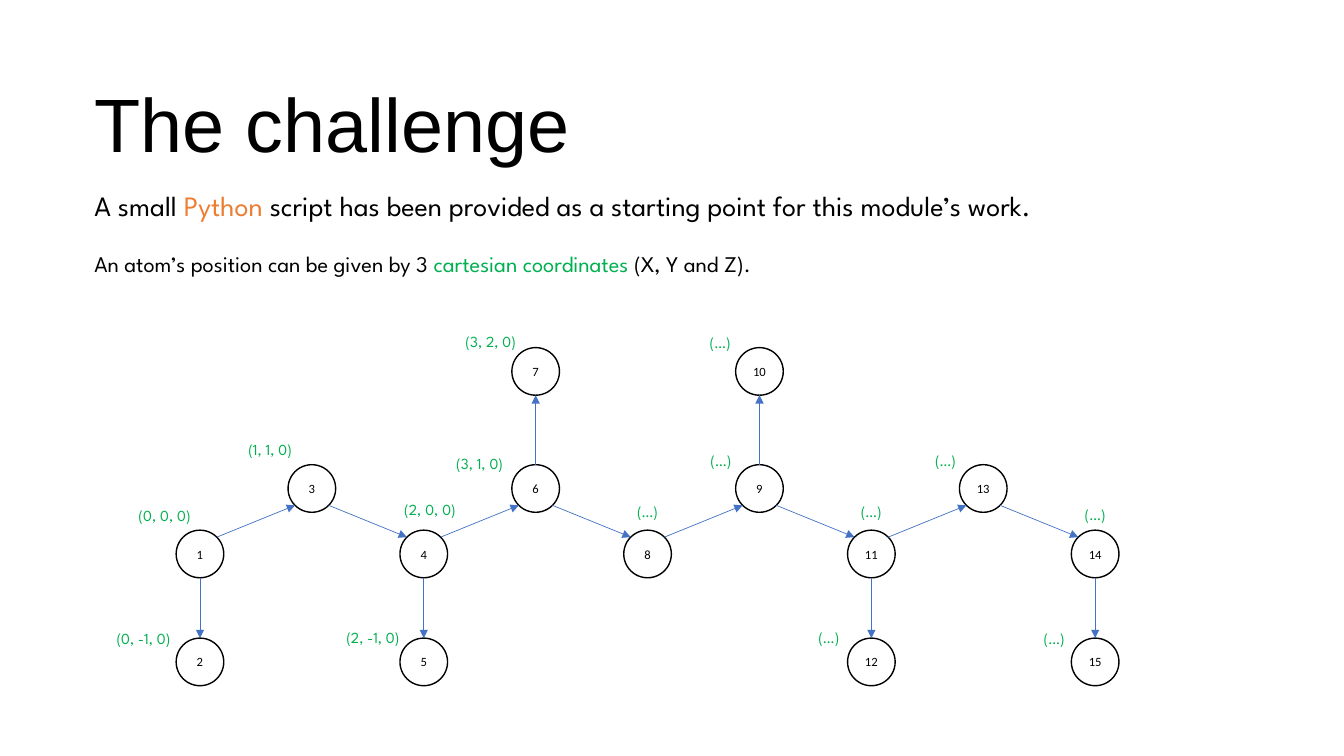
from math import cos, pi

from lxml.etree import SubElement
from pptx import Presentation
from pptx.dml.color import RGBColor
from pptx.enum.shapes import MSO_CONNECTOR as Connector, MSO_SHAPE as Shape
from pptx.enum.text import MSO_ANCHOR as Anchor, MSO_AUTO_SIZE as AutoSize, PP_ALIGN as Align
from pptx.oxml.ns import qn
from pptx.util import Cm, Pt

BLACK = RGBColor(0x00, 0x00, 0x00)
WHITE = RGBColor(0xFF, 0xFF, 0xFF)
ORANGE = RGBColor(0xED, 0x7D, 0x31)
GREEN = RGBColor(0x00, 0xB0, 0x50)
BLUE = RGBColor(0x44, 0x72, 0xC4)

TITLE_FONT, TEXT_FONT, ATOM_FONT = "Arial", "League Spartan", "Calibri"
TEXT_LEFT = 2.13
RADIUS = 0.6
FIRST_COLUMN, COLUMN_STEP = 5.04, 2.82
ROWS = [9.36, 12.31, 13.96, 16.68]

# atom: (column, row, coordinates, label offset across, label offset down)
ATOMS = {
    1: (0, 2, "(0, 0, 0)", -0.89, -0.97),
    2: (0, 3, "(0, -1, 0)", -1.42, -0.58),
    3: (1, 1, "(1, 1, 0)", -1.05, -0.97),
    4: (2, 2, "(2, 0, 0)", 0.16, -1.12),
    5: (2, 3, "(2, -1, 0)", -1.28, -0.61),
    6: (3, 1, "(3, 1, 0)", -1.41, -0.61),
    7: (3, 0, "(3, 2, 0)", -1.13, -0.74),
    8: (4, 2, "(…)", 0, -1.07),
    9: (5, 1, "(…)", -0.97, -0.69),
    10: (5, 0, "(…)", -0.99, -0.71),
    11: (6, 2, "(…)", 0, -1.07),
    12: (6, 3, "(…)", -1.07, -0.61),
    13: (7, 1, "(…)", -0.95, -0.69),
    14: (8, 2, "(…)", 0, -0.99),
    15: (8, 3, "(…)", -1.03, -0.58),
}
BACKBONE = [1, 3, 4, 6, 8, 9, 11, 13, 14]
BRANCHES = [(1, 2), (4, 5), (6, 7), (9, 10), (11, 12), (14, 15)]


def atom_center(number):
    column, row = ATOMS[number][:2]
    return FIRST_COLUMN + column * COLUMN_STEP, ROWS[row]


def direction(start, end):
    return (end > start) - (end < start)


class ChainSlide:
    def __init__(self, presentation):
        self.slide = presentation.slides.add_slide(presentation.slide_layouts[5])
        self.molecule = None

    def add_runs(self, shape, runs, font, size, align=Align.LEFT):
        """Fill the first paragraph with (text, colour) runs."""
        paragraph = shape.text_frame.paragraphs[0]
        paragraph.alignment = align
        for text, color in runs:
            run = paragraph.add_run()
            run.text = text
            run.font.name = font
            run.font.size = Pt(size)
            run.font.color.rgb = color

    def title(self, text):
        title = self.slide.shapes.title
        title.left, title.top = Cm(TEXT_LEFT), Cm(1.78)
        title.width, title.height = Cm(18.47), Cm(2.57)
        title.text_frame.vertical_anchor = Anchor.BOTTOM
        title.text_frame.auto_size = AutoSize.NONE
        self.add_runs(title, [(text, BLACK)], TITLE_FONT, 54)

    def text(self, left, top, width, height, runs, size, align=Align.LEFT):
        box = self.slide.shapes.add_textbox(Cm(left), Cm(top), Cm(width), Cm(height))
        box.text_frame.word_wrap = True
        box.text_frame.auto_size = AutoSize.SHAPE_TO_FIT_TEXT
        self.add_runs(box, runs, TEXT_FONT, size, align)

    def start_molecule(self):
        self.molecule = self.slide.shapes.add_group_shape()

    def atom(self, number):
        x, y = atom_center(number)
        circle = self.molecule.shapes.add_shape(
            Shape.OVAL, Cm(x - RADIUS), Cm(y - RADIUS), Cm(2 * RADIUS), Cm(2 * RADIUS))
        circle.shadow.inherit = False
        circle.fill.solid()
        circle.fill.fore_color.rgb = WHITE
        circle.line.color.rgb = BLACK
        circle.line.width = Pt(1)
        frame = circle.text_frame
        frame.margin_left = frame.margin_right = frame.margin_top = frame.margin_bottom = 0
        frame.vertical_anchor = Anchor.MIDDLE
        self.add_runs(circle, [(str(number), BLACK)], ATOM_FONT, 9, Align.CENTER)

    def bond(self, first, second):
        """Draw an arrow between the facing edges of two atoms."""
        (x1, y1), (x2, y2) = atom_center(first), atom_center(second)
        reach = RADIUS * cos(pi / 4) if x1 != x2 else RADIUS
        dx, dy = reach * direction(x1, x2), reach * direction(y1, y2)
        arrow = self.molecule.shapes.add_connector(
            Connector.STRAIGHT, Cm(x1 + dx), Cm(y1 + dy), Cm(x2 - dx), Cm(y2 - dy))
        arrow.line.color.rgb = BLUE
        arrow.line.width = Pt(0.5)
        properties = arrow._element.spPr
        SubElement(properties.find(qn("a:ln")), qn("a:tailEnd"), type="triangle")
        SubElement(properties, qn("a:effectLst"))

    def coordinates(self, number):
        x, y = atom_center(number)
        label, across, down = ATOMS[number][2:]
        width, height = 2.26, 0.74
        self.text(x + across - width / 2, y + down - height / 2, width, height,
                  [(label, GREEN)], 11, Align.CENTER)


def main():
    presentation = Presentation()
    presentation.slide_width, presentation.slide_height = Cm(33.87), Cm(19.05)
    page = ChainSlide(presentation)
    page.title("The challenge")
    page.text(TEXT_LEFT, 4.62, 26.8, 1.12, [
        ("A small ", BLACK),
        ("Python", ORANGE),
        (" script has been provided as a starting point for this module’s work.", BLACK),
    ], 20)
    page.text(TEXT_LEFT, 6.17, 26.8, 0.94, [
        ("An atom’s position can be given by 3 ", BLACK),
        ("cartesian coordinates ", GREEN),
        ("(X, Y and Z).", BLACK),
    ], 16)
    page.start_molecule()
    for number in ATOMS:
        page.atom(number)
    for first, second in [*zip(BACKBONE, BACKBONE[1:]), *BRANCHES]:
        page.bond(first, second)
    for number in ATOMS:
        page.coordinates(number)
    presentation.save("out.pptx")


if __name__ == "__main__":
    main()
